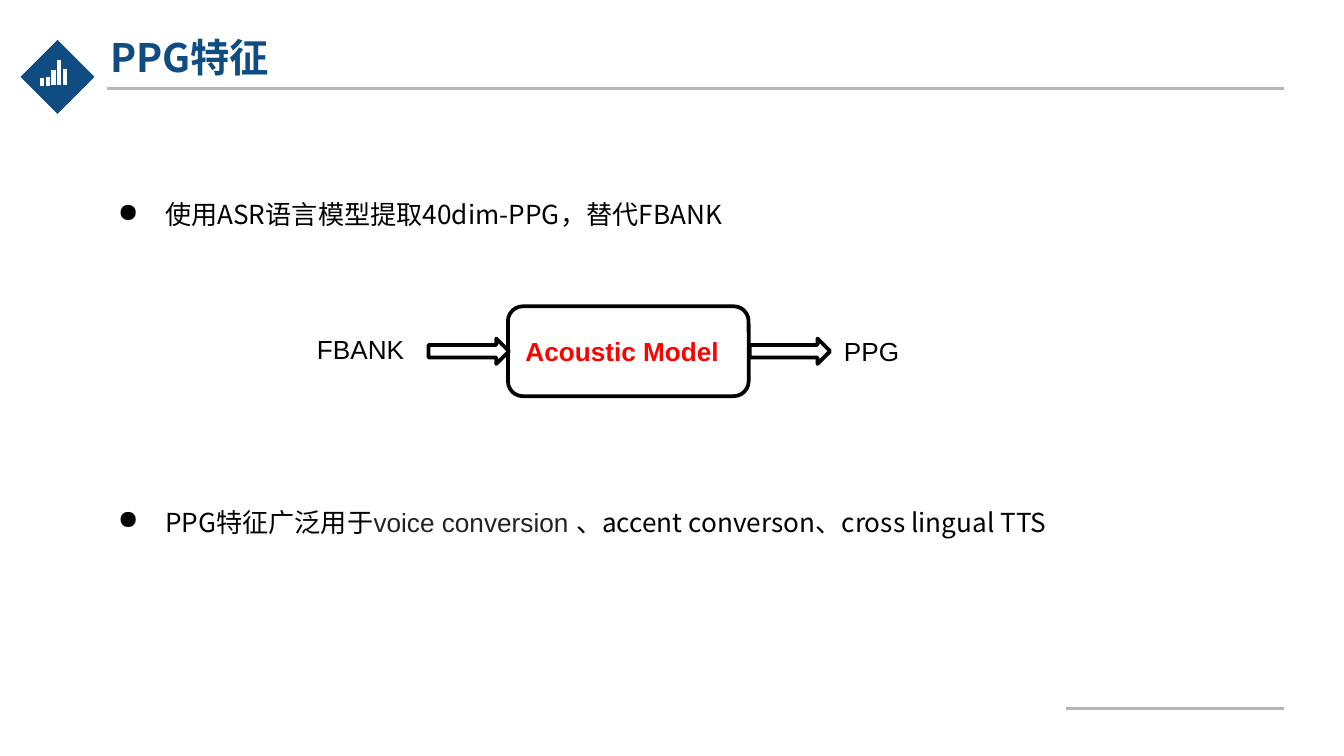
from dataclasses import dataclass

from lxml.etree import SubElement
from pptx import Presentation
from pptx.dml.color import RGBColor
from pptx.enum.shapes import MSO_CONNECTOR, MSO_SHAPE
from pptx.enum.text import MSO_ANCHOR
from pptx.oxml.ns import qn
from pptx.util import Cm, Pt


@dataclass(frozen=True)
class Theme:
    blue: RGBColor = RGBColor(0x0F, 0x4C, 0x81)
    grey: RGBColor = RGBColor(0xB6, 0xB6, 0xB6)
    dark: RGBColor = RGBColor(0x22, 0x22, 0x22)
    red: RGBColor = RGBColor(0xFF, 0, 0)
    black: RGBColor = RGBColor(0, 0, 0)
    white: RGBColor = RGBColor(0xFF, 0xFF, 0xFF)
    heading: Pt = Pt(21)
    body: Pt = Pt(14)
    cjk: str = "Noto Sans CJK SC"
    latin: str = "Arial"


theme = Theme()
deck = Presentation()
deck.slide_width, deck.slide_height = Cm(25.4), Cm(14.29)
slide = deck.slides.add_slide(deck.slide_layouts[6])
shapes = slide.shapes


def add_line(x1, y1, x2, y2, color, width):
    """Draw a straight line without shadow; places in centimetres."""
    line = shapes.add_connector(
        MSO_CONNECTOR.STRAIGHT, Cm(x1), Cm(y1), Cm(x2), Cm(y2))
    line.line.color.rgb = color
    line.line.width = Pt(width)
    SubElement(line._element.spPr, qn("a:effectLst"))


def set_font(font, name, size, color, bold=False):
    """Style a paragraph or run font, for Latin and East Asian text."""
    font.name, font.size, font.bold = name, size, bold
    font.color.rgb = color
    SubElement(font._element, qn("a:ea"), typeface=name)


# Header and footer
badge = shapes.add_shape(MSO_SHAPE.RECTANGLE, Cm(0.59), Cm(0.96), Cm(0.99), Cm(0.99))
badge.rotation = 45
badge.shadow.inherit = False
badge.fill.solid()
badge.fill.fore_color.rgb = theme.blue
badge.line.fill.background()

bar_ends = [(1.47, 1.63), (1.45, 1.63), (1.32, 1.6), (1.14, 1.6), (1.3, 1.6)]
for i, (top, bottom) in enumerate(bar_ends):
    x = 0.79 + 0.11 * i
    add_line(x, top, x, bottom, theme.white, 2.24)
for left, y in [(2.03, 1.68), (20.14, 13.39)]:
    add_line(left, y, 24.26, y, theme.grey, 1.5)

title = shapes.add_textbox(Cm(1.9), Cm(0.53), Cm(19.81), Cm(1.07)).text_frame
title.word_wrap = True
title.vertical_anchor = MSO_ANCHOR.MIDDLE
title.margin_left = title.margin_right = Cm(0.18)
title.margin_top = title.margin_bottom = Cm(0.1)
title.text = "PPG特征"
set_font(title.paragraphs[0].font, theme.cjk, theme.heading, theme.blue, True)

# Bullets, with room for the diagram between them
bullets = [
    [("使用ASR语言模型提取40dim-PPG，替代FBANK", theme.cjk, theme.black)],
    [("PPG特征广泛用于", theme.cjk, theme.black),
     ("voice conversion ", theme.latin, theme.dark),
     ("、accent converson、cross lingual TTS", theme.cjk, theme.black)],
]
points = shapes.add_textbox(Cm(1.6), Cm(3.5), Cm(22.17), Cm(7.2)).text_frame
points.word_wrap = True
points.margin_left = points.margin_right = Cm(0.25)
points.margin_top = points.margin_bottom = Cm(0.25)
points.add_paragraph().space_before = Pt(148)
for point, pieces in zip(points.paragraphs, bullets):
    props = point._p.get_or_add_pPr()
    props.set("marL", str(Cm(1.27)))
    props.set("indent", str(Cm(-0.89)))
    bullet_color = SubElement(props, qn("a:buClr"))
    SubElement(bullet_color, qn("a:srgbClr"), val=str(theme.black))
    SubElement(props, qn("a:buChar"), char="●")
    for text, name, color in pieces:
        run = point.add_run()
        run.text = text
        set_font(run.font, name, theme.body, color)

# Diagram: FBANK -> Acoustic Model -> PPG
diagram = [
    (MSO_SHAPE.ROUNDED_RECTANGLE, 9.6, 5.79, 4.55, 1.7, "Acoustic Model"),
    (MSO_SHAPE.RIGHT_ARROW, 8.1, 6.4, 1.52, 0.48, ""),
    (MSO_SHAPE.RIGHT_ARROW, 14.17, 6.4, 1.52, 0.48, ""),
]
for kind, left, top, width, height, text in diagram:
    part = shapes.add_shape(kind, Cm(left), Cm(top), Cm(width), Cm(height))
    part.shadow.inherit = False
    part.fill.solid()
    part.fill.fore_color.rgb = theme.white
    part.line.color.rgb = theme.black
    part.line.width = Pt(2)
    if text:
        part.text_frame.text = text
        part.text_frame.vertical_anchor = MSO_ANCHOR.MIDDLE
        caption = part.text_frame.paragraphs[0]
        caption.alignment = 1  # left
        set_font(caption.font, theme.latin, theme.body, theme.red, True)

for text, left, top in [("FBANK", 5.74, 6.17), ("PPG", 15.7, 6.22)]:
    label = shapes.add_textbox(Cm(left), Cm(top), Cm(2.21), Cm(0.86)).text_frame
    label.word_wrap = True
    label.text = text
    set_font(label.paragraphs[0].font, theme.latin, theme.body, theme.black)

deck.save("out.pptx")
